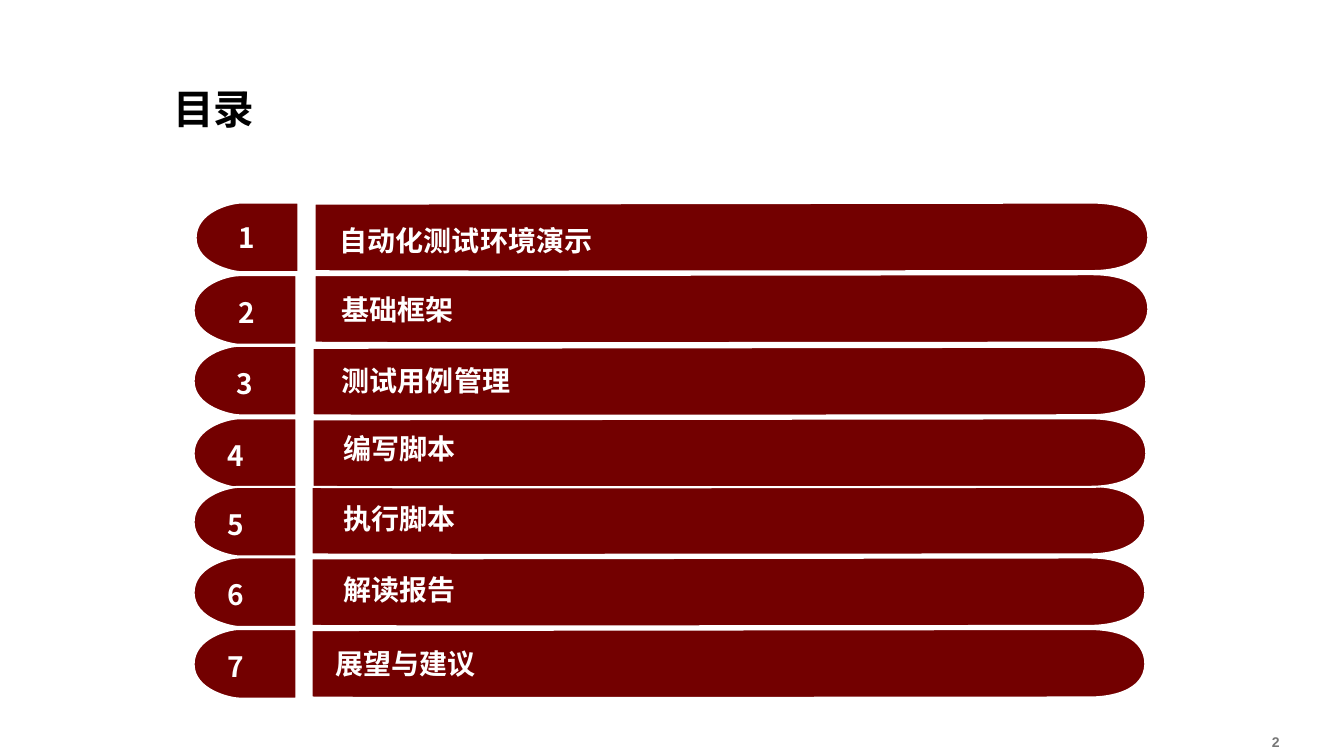
import pptx
import pptx.dml.color
import pptx.enum.text
import pptx.oxml
import pptx.oxml.ns
import pptx.util

Inches = pptx.util.Inches
Align = pptx.enum.text.PP_ALIGN
Anchor = pptx.enum.text.MSO_ANCHOR

COLORS = {"bar": "730000", "white": "FFFFFF", "title": "000000", "page": "777777"}
CJK_FONT = "Noto Sans CJK SC"
NAMESPACE = pptx.oxml.ns.nsdecls("a")

# Outlines in inches from the top left corner: two numbers make a line,
# six make a cubic curve.
BAR_OUTLINE = [
    (0, 0.01), (0, 0.68),
    (0.28, 0.69, 7.51, 0.68, 7.72, 0.68),
    (7.93, 0.68, 8.26, 0.62, 8.27, 0.35),
    (8.27, 0.08, 7.98, 0, 7.72, 0),
    (7.47, 0, 0.27, 0.01, 0, 0.01),
]
TAB_OUTLINE = [
    (1.02, 0),
    (1.02, 0.34, 1.02, 0.69, 1.02, 0.69),
    (0.45, 0.69),
    (0.37, 0.69, 0, 0.61, 0, 0.35),
    (0, 0.09, 0.34, 0, 0.45, 0),
    (1.02, 0),
]

# Chapter, tab left and top, bar left and top, label place, number place;
# without a place the words stand inside the bar or the tab
CONTENTS = [
    ("自动化测试环境演示", (1.94, 2.01), (3.12, 2.01), (3.25, 2.15), (2.25, 2.12)),
    ("基础框架", (1.92, 2.73), (3.12, 2.72), (3.27, 2.84), (2.25, 2.87)),
    ("测试用例管理", (1.92, 3.43), (3.1, 3.44), (3.27, 3.54), (2.23, 3.57)),
    ("编写脚本", (1.92, 4.15), (3.1, 4.15), (3.29, 4.22), None),
    ("执行脚本", (1.92, 4.83), (3.09, 4.82), (3.29, 4.91), None),
    ("解读报告", (1.92, 5.53), (3.09, 5.53), (3.29, 5.62), None),
    ("展望与建议", (1.92, 6.24), (3.09, 6.24), None, None),
]


def rgb(name):
    return pptx.dml.color.RGBColor.from_string(COLORS[name])


def write_text(shape, text, size=20, color="white", font=CJK_FONT,
               align=Align.LEFT, anchor=Anchor.MIDDLE,
               insets=(0.12, 0.06, 0.12, 0.06)):
    frame = shape.text_frame
    frame.word_wrap = True
    frame.vertical_anchor = anchor
    (frame.margin_left, frame.margin_top,
     frame.margin_right, frame.margin_bottom) = map(Inches, insets)
    paragraph = frame.paragraphs[0]
    paragraph.alignment = align
    run = paragraph.add_run()
    run.text = text
    run.font.size = pptx.util.Pt(size)
    run.font.bold = True
    run.font.name = font
    run.font.color.rgb = rgb(color)
    run.font._element.append(
        pptx.oxml.parse_xml(f'<a:ea {NAMESPACE} typeface="{CJK_FONT}"/>'))


class ContentsSlide:
    def __init__(self, presentation):
        self.slide = presentation.slides.add_slide(presentation.slide_layouts[6])

    def text(self, text, left, top, width, height, **style):
        box = self.slide.shapes.add_textbox(
            Inches(left), Inches(top), Inches(width), Inches(height))
        write_text(box, text, **style)

    def outline(self, outline, left, top):
        corners = [(Inches(left + segment[-2]), Inches(top + segment[-1]))
                   for segment in outline]
        builder = self.slide.shapes.build_freeform(*corners[0], scale=1.0)
        builder.add_line_segments(corners[1:], close=True)
        shape = builder.convert_to_shape()
        self.bend(shape, outline)
        shape.shadow.inherit = False
        shape.fill.solid()
        shape.fill.fore_color.rgb = rgb("bar")
        shape.line.color.rgb = rgb("white")
        shape.line.width = pptx.util.Pt(1.5)
        return shape

    def bend(self, shape, outline):
        """Replace straight segments by the curves of the outline."""
        lines = list(shape._element.iter(pptx.oxml.ns.qn("a:lnTo")))
        for line, segment in zip(lines, outline[1:]):
            if len(segment) == 6:
                points = "".join(
                    f'<a:pt x="{Inches(x)}" y="{Inches(y)}"/>'
                    for x, y in zip(segment[::2], segment[1::2]))
                line.getparent().replace(line, pptx.oxml.parse_xml(
                    f"<a:cubicBezTo {NAMESPACE}>{points}</a:cubicBezTo>"))


def main():
    presentation = pptx.Presentation()
    presentation.slide_width = Inches(13.33)
    presentation.slide_height = Inches(7.5)
    page = ContentsSlide(presentation)

    # Title and page number
    heading_insets = (0.1, 0.05, 0.1, 0.05)
    page.text("目录", 1.62, 0.81, 9.87, 0.56, anchor=Anchor.BOTTOM,
              insets=heading_insets, size=29, color="title", font="Arial")
    page.text("2", 10.01, 7.23, 2.78, 0.24, anchor=Anchor.TOP,
              insets=heading_insets, size=10, color="page", font="Arial",
              align=Align.RIGHT)

    # Bars with chapter titles, from the bottom up so that each overlaps the next
    for chapter, _, bar_place, label_place, _ in reversed(CONTENTS):
        bar = page.outline(BAR_OUTLINE, *bar_place)
        if label_place:
            page.text(chapter, *label_place, 7.92, 0.46)
        else:
            write_text(bar, chapter, insets=(0.24, 0.06, 0.12, 0.06))

    # Tabs with chapter numbers
    for number, (_, tab_place, _, _, number_place) in enumerate(CONTENTS, 1):
        tab = page.outline(TAB_OUTLINE, *tab_place)
        if number_place:
            page.text(str(number), *number_place, 0.51, 0.46)
        else:
            write_text(tab, str(number), insets=(0.34, 0.11, 0.12, 0.06))

    presentation.save("out.pptx")


if __name__ == "__main__":
    main()
